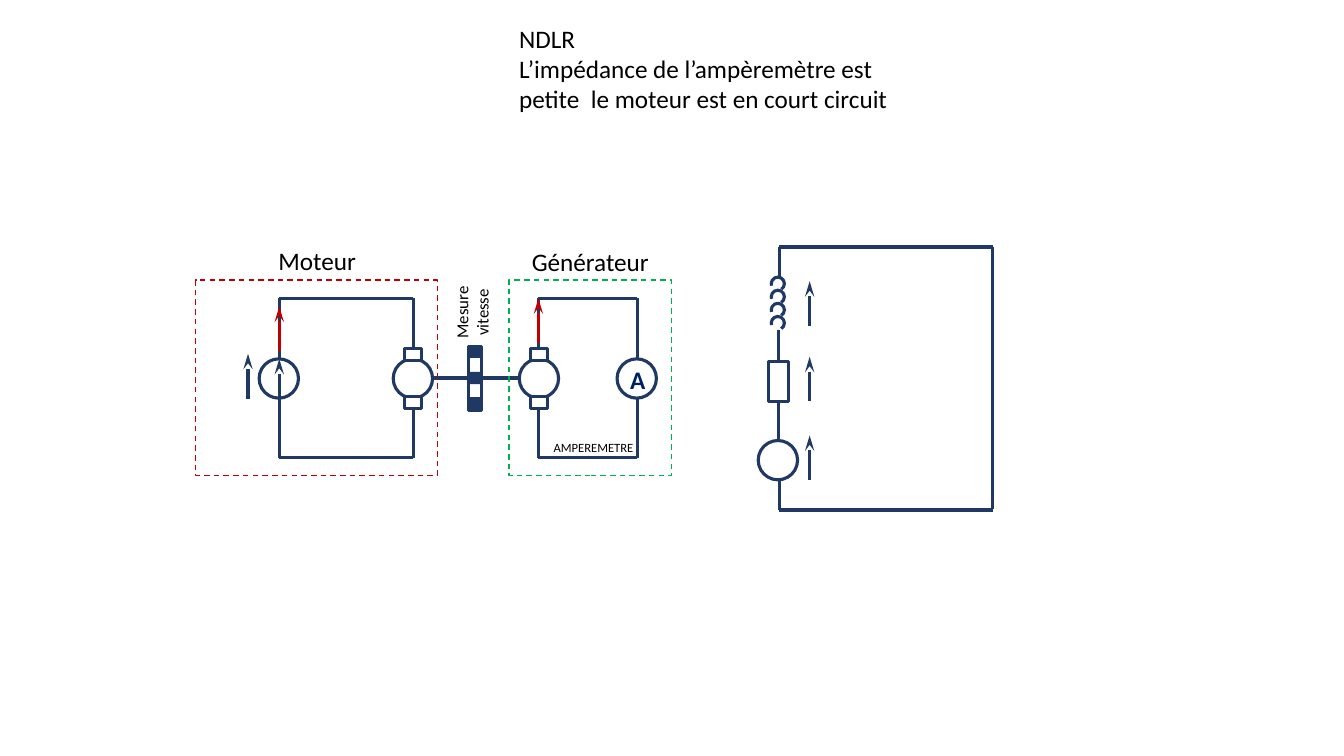
from lxml.etree import SubElement
from pptx import Presentation
from pptx.dml.color import RGBColor
from pptx.enum.dml import MSO_LINE
from pptx.enum.shapes import MSO_CONNECTOR, MSO_SHAPE
from pptx.enum.text import MSO_AUTO_SIZE, PP_ALIGN
from pptx.oxml.ns import qn
from pptx.util import Inches, Pt

NAVY = RGBColor(0x20, 0x38, 0x64)
INK = RGBColor(0x00, 0x20, 0x60)
RED = RGBColor(0xC0, 0x00, 0x00)
GREEN = RGBColor(0x00, 0xB0, 0x50)
WHITE = RGBColor(0xFF, 0xFF, 0xFF)
BLACK = RGBColor(0x00, 0x00, 0x00)

deck = Presentation()
deck.slide_width = Inches(13.33)
deck.slide_height = Inches(7.5)
slide = deck.slides.add_slide(deck.slide_layouts[6])


def wire(x1, y1, x2, y2, color=NAVY, arrow=False):
    line = slide.shapes.add_connector(
        MSO_CONNECTOR.STRAIGHT, Inches(x1), Inches(y1), Inches(x2), Inches(y2))
    line.line.color.rgb = color
    line.line.width = Pt(2.25)
    if arrow:
        SubElement(line.line._get_or_add_ln(), qn("a:headEnd"),
                   type="stealth", w="med", len="lg")
    SubElement(line._element.spPr, qn("a:effectLst"))
    return line


def draw(kind, x, y, w, h, fill=None, edge=NAVY, home=slide):
    shape = home.shapes.add_shape(kind, Inches(x), Inches(y), Inches(w), Inches(h))
    shape.shadow.inherit = False
    if fill is None:
        shape.fill.background()
    else:
        shape.fill.solid()
        shape.fill.fore_color.rgb = fill
    if edge is None:
        shape.line.fill.background()
    else:
        shape.line.color.rgb = edge
        shape.line.width = Pt(2.25)
    return shape


# Motor and generator loops
TOP, BASE = 2.96, 4.54
ROUND = 0.39
for left, right in [(2.77, 4.1), (5.34, 6.32)]:
    for y in (TOP, BASE):
        wire(left, y, right, y)
for x in (4.1, 5.34):
    wire(x, BASE, x, TOP)
for x in (2.77, 6.32):
    wire(x, 3.56, x, TOP)
    wire(x, BASE, x, 3.96)
    draw(MSO_SHAPE.OVAL, x - 0.2, 3.56, ROUND, ROUND)

# Voltage and current arrows
for x, y1, y2, color in [
    (2.77, 3.04, 3.48, RED),
    (2.46, 3.51, 3.96, NAVY),
    (2.77, 3.56, 3.96, NAVY),
    (5.34, 2.96, 3.4, RED),
]:
    wire(x, y1, x, y2, color, True)

# Both machines with their brushes
for x in (3.9, 5.15):
    unit = slide.shapes.add_group_shape()
    draw(MSO_SHAPE.OVAL, x, 3.56, ROUND, ROUND, WHITE, home=unit)
    for y in (3.46, 3.93):
        draw(MSO_SHAPE.RECTANGLE, x + 0.11, y, 0.17, 0.12, WHITE, home=unit)

# Shaft and speed sensor
wire(5.15, 3.75, 4.3, 3.75)
draw(MSO_SHAPE.RECTANGLE, 4.65, 3.44, 0.13, 0.63, WHITE)
for y in (3.43, 3.69, 3.94):
    draw(MSO_SHAPE.RECTANGLE, 4.66, y, 0.12, 0.12, NAVY, None)

# Dashed frames
for x, w, color in [(1.94, 2.4, RED), (5.05, 1.61, GREEN)]:
    frame = draw(MSO_SHAPE.RECTANGLE, x, 2.78, w, 1.94, edge=color)
    frame.line.width = Pt(1)
    frame.line.dash_style = MSO_LINE.DASH

# Labels
LEFT, MID = PP_ALIGN.LEFT, PP_ALIGN.CENTER
NOTE = ["NDLR",
        "L’impédance de l’ampèremètre est petite  le moteur est en court circuit"]
for x, y, w, h, lines, size, align, turn in [
    (1.94, 2.38, 2.41, 0.4, ["Moteur"], 18, MID, 0),
    (5.05, 2.39, 1.61, 0.4, ["Générateur"], 18, MID, 0),
    (4.12, 2.85, 1.12, 0.5, ["Mesure vitesse"], 12, MID, 270),
    (5.05, 0.18, 3.97, 1.01, NOTE, 18, LEFT, 0),
    (5.34, 4.31, 1.09, 0.25, ["AMPEREMETRE"], 9, MID, 0),
    (6.25, 3.61, 0.15, 0.3, ["A"], 18, LEFT, 0),
]:
    box = slide.shapes.add_textbox(Inches(x), Inches(y), Inches(w), Inches(h))
    box.rotation = turn
    text = box.text_frame
    meter = lines == ["A"]
    text.word_wrap = not meter
    text.auto_size = MSO_AUTO_SIZE.SHAPE_TO_FIT_TEXT
    if meter:
        text.margin_left = text.margin_right = 0
        text.margin_top = text.margin_bottom = 0
    for i, words in enumerate(lines):
        para = text.add_paragraph() if i else text.paragraphs[0]
        para.alignment = align
        run = para.add_run()
        run.text = words
        run.font.name = "Calibri"
        run.font.size = Pt(size)
        run.font.bold = meter
        run.font.color.rgb = INK if meter else BLACK

# Equivalent circuit: resistor, source and coil
res = draw(MSO_SHAPE.RECTANGLE, 7.62, 3.59, 0.2, 0.39)
draw(MSO_SHAPE.OVAL, 7.52, 4.37, ROUND, ROUND)
for i in range(4):
    turn = draw(MSO_SHAPE.ARC, 7.65, 2.75 + 0.13 * i, 0.13, 0.13)
    # Angles of 162 and 57.95 degrees
    turn.adjustments[0] = 162 * 0.6
    turn.adjustments[1] = 57.95 * 0.6
wire(7.72, 3.59, 7.72, 3.27).begin_connect(res, 0)
wire(7.72, 4.37, 7.72, 3.98).end_connect(res, 2)
wire(7.73, 2.75, 7.73, 2.45)
wire(7.73, 5.06, 7.73, 4.77)

# Voltage arrows and return path
for y in (2.79, 3.54, 4.32):
    wire(8.03, y, 8.03, y + 0.44, arrow=True)
for y in (5.06, 2.45):
    wire(9.85, y, 7.73, y)
wire(9.84, 2.45, 9.84, 5.05)

deck.save("out.pptx")
